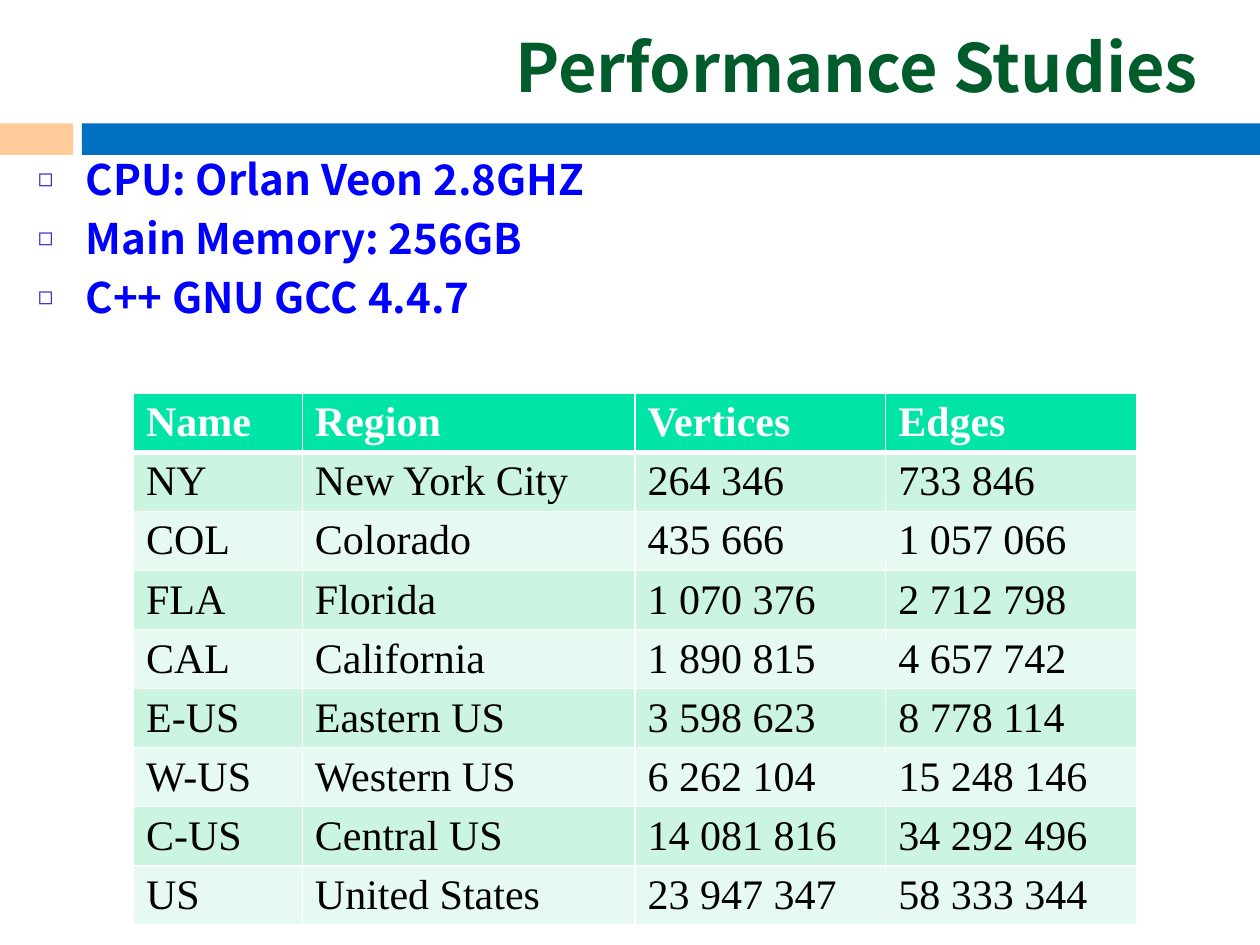
from lxml.etree import SubElement
from pptx import Presentation
from pptx.dml.color import RGBColor
from pptx.enum.shapes import MSO_SHAPE
from pptx.enum.text import MSO_ANCHOR, MSO_AUTO_SIZE, PP_ALIGN
from pptx.oxml.ns import qn
from pptx.util import Inches, Pt

TITLE = "Performance Studies"
SETUP = ["CPU: Orlan Veon 2.8GHZ", "Main Memory: 256GB", "C++ GNU GCC 4.4.7"]
NETWORKS = [
    ("Name", "Region", "Vertices", "Edges"),
    ("NY", "New York City", "264 346", "733 846"),
    ("COL", "Colorado", "435 666", "1 057 066"),
    ("FLA", "Florida", "1 070 376", "2 712 798"),
    ("CAL", "California", "1 890 815", "4 657 742"),
    ("E-US", "Eastern US", "3 598 623", "8 778 114"),
    ("W-US", "Western US", "6 262 104", "15 248 146"),
    ("C-US", "Central US", "14 081 816", "34 292 496"),
    ("US", "United States", "23 947 347", "58 333 344"),
]
COLUMN_WIDTHS = [1.34, 2.64, 1.99, 1.99]
ROW_HEIGHT = 0.36
BARS = [("blue", 0.65, 9.35), ("peach", 0, 0.58)]
COLORS = {
    "blue": "0070C0", "peach": "FFCC99", "title": "005C2B", "list": "0000FF",
    "bullet": "3333CC", "header": "00E4A8", "odd": "CCF5E1", "even": "E7FAF1",
    "white": "FFFFFF", "black": "000000",
}
SANS, SERIF = "Noto Sans CJK SC", "Times New Roman"


def color(name):
    return RGBColor.from_string(COLORS[name])


def place(shape, left, top, width, height):
    shape.left, shape.top = Inches(left), Inches(top)
    shape.width, shape.height = Inches(width), Inches(height)


def add_span(para, text, font, size, color_name, bold=True):
    span = para.add_run()
    span.text = text
    span.font.name, span.font.size, span.font.bold = font, Pt(size), bold
    span.font.color.rgb = color(color_name)


def add_bullet(para):
    properties = para._p.get_or_add_pPr()
    properties.set("marL", str(Inches(0.38)))
    properties.set("indent", str(-Inches(0.38)))
    bullet_color = SubElement(properties, qn("a:buClr"))
    SubElement(bullet_color, qn("a:srgbClr"), val=COLORS["bullet"])
    SubElement(properties, qn("a:buSzPct"), val="60000")
    SubElement(properties, qn("a:buChar"), char="◻")


def add_borders(cell, bottom_width):
    properties = cell._tc.get_or_add_tcPr()
    for side, width in (("L", 1), ("R", 1), ("T", 1), ("B", bottom_width)):
        line = SubElement(properties, qn(f"a:ln{side}"), w=str(Pt(width)))
        fill = SubElement(line, qn("a:solidFill"))
        SubElement(fill, qn("a:srgbClr"), val=COLORS["white"])


def add_bars(page):
    for name, left, width in BARS:
        bar = page.shapes.add_shape(
            MSO_SHAPE.RECTANGLE, Inches(left), Inches(0.98), Inches(width), Inches(0.25))
        bar.shadow.inherit = False
        bar.fill.solid()
        bar.fill.fore_color.rgb = color(name)
        bar.line.fill.background()


def fill_title(box):
    place(box, 1.38, 0.31, 8.23, 0.58)
    frame = box.text_frame
    frame.auto_size = MSO_AUTO_SIZE.NONE
    frame.vertical_anchor = MSO_ANCHOR.BOTTOM
    para = frame.paragraphs[0]
    para.alignment = PP_ALIGN.RIGHT
    add_span(para, TITLE, SANS, 38, "title")


def fill_list(box):
    place(box, 0.2, 1.17, 9.75, 5.67)
    frame = box.text_frame
    frame.auto_size = MSO_AUTO_SIZE.NONE
    for index, text in enumerate(SETUP):
        para = frame.add_paragraph() if index else frame.paragraphs[0]
        if index == 0:
            para.space_before = Pt(0)
        add_bullet(para)
        add_span(para, text, SANS, 24, "list")


def add_networks(page):
    table = page.shapes.add_table(
        len(NETWORKS), len(COLUMN_WIDTHS), Inches(1.06), Inches(3.12),
        Inches(sum(COLUMN_WIDTHS)), Inches(ROW_HEIGHT * len(NETWORKS))).table
    for column, width in zip(table.columns, COLUMN_WIDTHS):
        column.width = Inches(width)
    for row_index, values in enumerate(NETWORKS):
        header = row_index == 0
        table.rows[row_index].height = Inches(ROW_HEIGHT)
        fill_name = "header" if header else "odd" if row_index % 2 else "even"
        for column_index, text in enumerate(values):
            cell = table.cell(row_index, column_index)
            add_borders(cell, 3 if header else 1)
            cell.fill.solid()
            cell.fill.fore_color.rgb = color(fill_name)
            add_span(cell.text_frame.paragraphs[0], text, SERIF, 24,
                     "white" if header else "black", header)


def main():
    deck = Presentation()
    deck.slide_width, deck.slide_height = Inches(10), Inches(7.5)
    page = deck.slides.add_slide(deck.slide_layouts[1])
    add_bars(page)
    fill_title(page.shapes.title)
    fill_list(page.placeholders[1])
    add_networks(page)
    deck.save("out.pptx")


if __name__ == "__main__":
    main()
